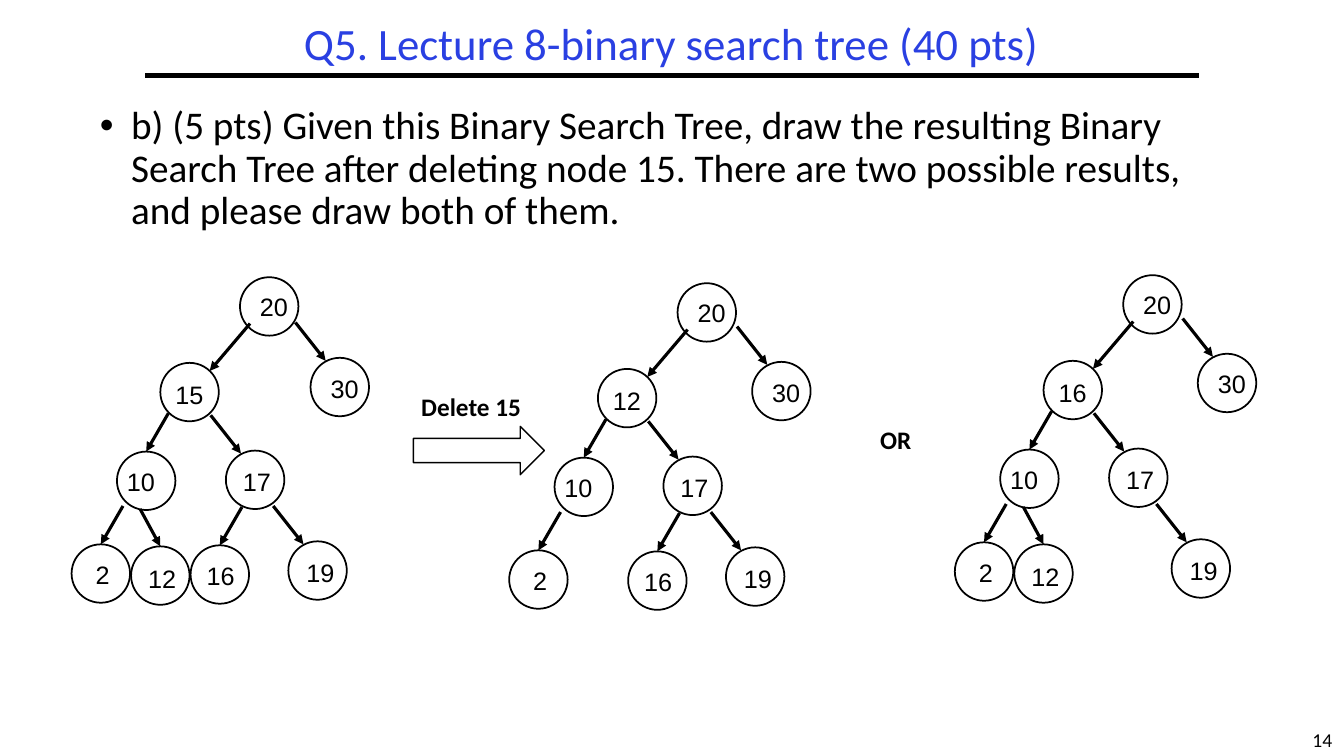
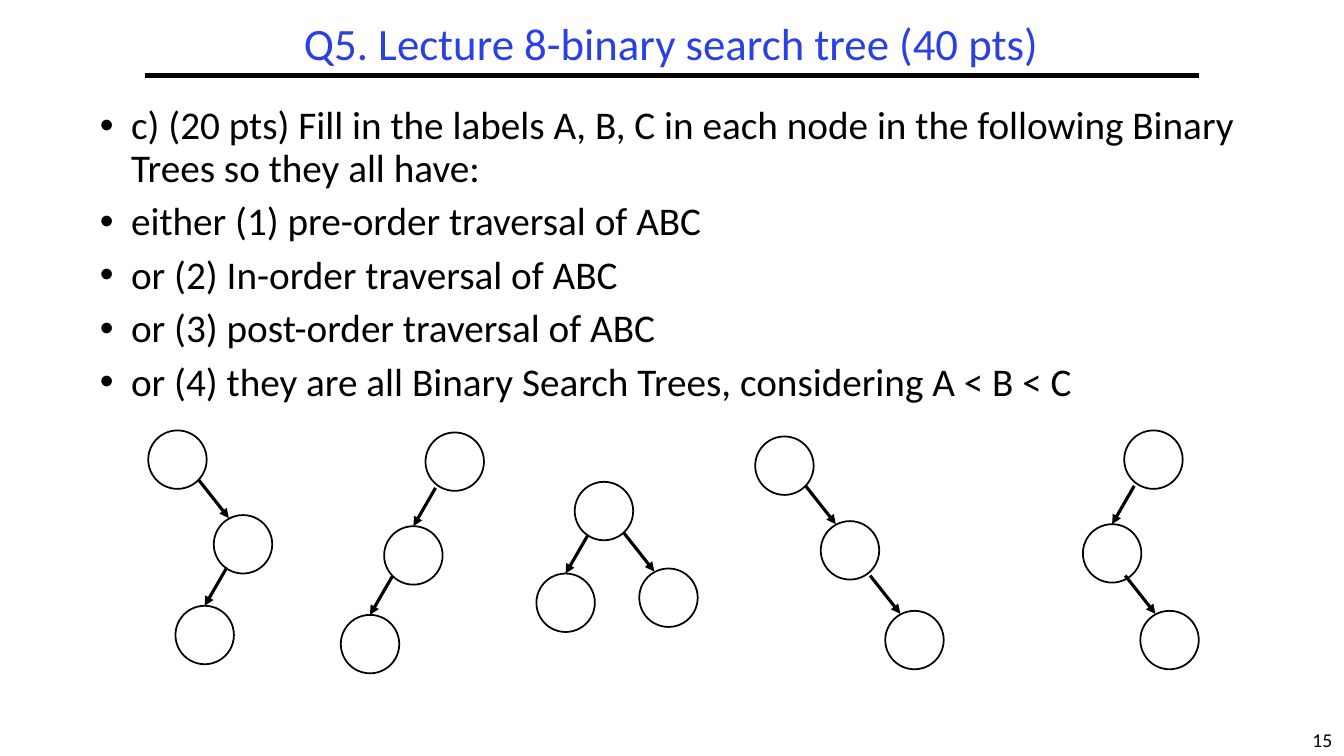
from lxml.etree import SubElement
from pptx import Presentation
from pptx.dml.color import RGBColor
from pptx.enum.shapes import MSO_CONNECTOR, MSO_SHAPE
from pptx.enum.text import MSO_ANCHOR, MSO_AUTO_SIZE, PP_ALIGN
from pptx.oxml.ns import qn
from pptx.util import Inches, Pt

COLORS = {"black": "000000", "white": "FFFFFF", "title": "2A40E2"}
TITLE = "Q5. Lecture 8-binary search tree (40 pts)"
NODE_SIZE = 0.58

# Per branch: end of the arrow inside the child, then its start relative to that end.
BRANCHES = {
    "left": ((0.29, 0), (0.22, -0.38)),
    "right": ((0.15, 0.03), (-0.3, -0.38)),
    "long left": ((0.49, 0.08), (0.4, -0.47)),
    "short right": ((0.29, 0), (-0.2, -0.37)),
}

# Per place: left, top, branch from the parent, label offset.
PLACES = {
    "root": (2.38, 2.75, None, 0.1, 0.09),
    "left": (1.59, 3.6, "long left", 0.05, 0.11),
    "right": (3.08, 3.55, "right", 0.1, 0.1),
    "wide right": (3.12, 3.53, "right", 0.1, 0.1),
    "left left": (1.16, 4.48, "left", 0, 0.1),
    "left right": (2.24, 4.47, "right", 0.07, 0.11),
    "leaf 1": (0.71, 5.4, "left", 0.14, 0.1),
    "leaf 2": (1.3, 5.42, "short right", 0.07, 0.12),
    "leaf 3": (1.89, 5.41, "left", 0.06, 0.1),
    "leaf 4": (2.86, 5.37, "right", 0.08, 0.11),
}

SHARED_LABELS = {"root": "20", "left left": "10", "left right": "17",
                 "leaf 1": "2", "leaf 4": "19"}
SEARCH_TREES = [
    (0, 0, {"left": "15", "right": "30", "leaf 2": "12", "leaf 3": "16"}),
    (4.34, 0.06, {"left": "12", "wide right": "30", "leaf 3": "16"}),
    (8.76, -0.02, {"left": "16", "wide right": "30", "leaf 2": "12"}),
]

BLANK_TREES = [
    [(4.22, 4.29, None), (3.81, 5.22, "left"), (3.38, 6.1, "left")],
    [(1.47, 4.27, None), (2.12, 5.11, "right"), (1.74, 6.01, "left")],
    [(5.7, 4.78, None), (5.32, 5.69, "left"), (6.34, 5.64, "right")],
    [(7.49, 4.33, None), (8.14, 5.17, "right"), (8.78, 6.06, "right")],
    [(11.15, 4.27, None), (10.74, 5.2, "left"), (11.31, 6.06, "right")],
]

DELETE_QUESTION = [
    "b) (5 pts) Given this Binary Search Tree, draw the resulting Binary Search Tree "
    "after deleting node 15. There are two possible results, and please draw both of them.",
]
TRAVERSAL_QUESTION = [
    "c) (20 pts) Fill in the labels A, B, C in each node in the following Binary Trees "
    "so they all have:",
    "either (1) pre-order traversal of ABC",
    "or (2) In-order traversal of ABC",
    "or (3) post-order traversal of ABC",
    "or (4) they are all Binary Search Trees, considering A < B < C",
]


class Deck:
    def __init__(self):
        self.presentation = Presentation()
        self.presentation.slide_width = Inches(13.33)
        self.presentation.slide_height = Inches(7.5)
        self.slide = None

    def color(self, name):
        return RGBColor.from_string(COLORS[name])

    def place(self, shape, left, top, width, height):
        shape.left, shape.top = Inches(left), Inches(top)
        shape.width, shape.height = Inches(width), Inches(height)

    def style_run(self, paragraph, text, size, color="black", font="Calibri", bold=False):
        run = paragraph.add_run()
        run.text = text
        run.font.size = Pt(size)
        run.font.name = font
        run.font.bold = bold
        run.font.color.rgb = self.color(color)

    def start(self, number, items):
        self.slide = self.presentation.slides.add_slide(self.presentation.slide_layouts[1])
        self.line((1.44, 0.75), (11.89, 0.75), 3)
        self.text(12.9, 7.17, 0.43, 0.33, number, 14, align=PP_ALIGN.CENTER, wrap=False)
        self.title()
        self.bullets(items)

    def title(self):
        title = self.slide.shapes.title
        self.place(title, 1.44, 0.17, 10.44, 0.58)
        frame = title.text_frame
        frame.auto_size = MSO_AUTO_SIZE.NONE
        frame.vertical_anchor = MSO_ANCHOR.MIDDLE
        paragraph = frame.paragraphs[0]
        paragraph.alignment = PP_ALIGN.CENTER
        paragraph.line_spacing = 0.9
        self.style_run(paragraph, TITLE, 32, "title")

    def bullets(self, items):
        body = self.slide.placeholders[1]
        self.place(body, 0.89, 1, 11.56, 5.58)
        frame = body.text_frame
        frame.auto_size = MSO_AUTO_SIZE.NONE
        for index, item in enumerate(items):
            paragraph = frame.add_paragraph() if index else frame.paragraphs[0]
            properties = paragraph._p.get_or_add_pPr()
            properties.set("marL", str(Inches(0.31)))
            properties.set("indent", str(Inches(-0.31)))
            SubElement(properties, qn("a:buFont")).set("typeface", "Arial")
            SubElement(properties, qn("a:buChar")).set("char", "•")
            paragraph.line_spacing = 0.9
            paragraph.space_before = Pt(8 if index else 0)
            self.style_run(paragraph, item, 28)

    def text(self, left, top, width, height, text, size, font="Calibri", bold=False,
             align=PP_ALIGN.LEFT, wrap=True):
        box = self.slide.shapes.add_textbox(
            Inches(left), Inches(top), Inches(width), Inches(height))
        box.text_frame.word_wrap = wrap
        paragraph = box.text_frame.paragraphs[0]
        paragraph.alignment = align
        self.style_run(paragraph, text, size, font=font, bold=bold)

    def line(self, start, end, weight, arrow=False):
        connector = self.slide.shapes.add_connector(
            MSO_CONNECTOR.STRAIGHT, *(Inches(value) for value in (*start, *end)))
        connector.line.width = Pt(weight)
        connector.line.color.rgb = self.color("black")
        properties = connector._element.spPr
        if arrow:
            SubElement(properties.get_or_add_ln(), qn("a:tailEnd")).set("type", "triangle")
        SubElement(properties, qn("a:effectLst"))
        return connector

    def outline(self, kind, left, top, width, height, weight):
        shape = self.slide.shapes.add_shape(
            kind, Inches(left), Inches(top), Inches(width), Inches(height))
        shape.shadow.inherit = False
        shape.fill.solid()
        shape.fill.fore_color.rgb = self.color("white")
        shape.line.color.rgb = self.color("black")
        shape.line.width = Pt(weight)
        return shape

    def node(self, left, top, branch):
        circle = self.outline(MSO_SHAPE.OVAL, left, top, NODE_SIZE, NODE_SIZE, 1.25)
        if branch:
            (inset_x, inset_y), (back_x, back_y) = BRANCHES[branch]
            end = (left + inset_x, top + inset_y)
            start = (end[0] + back_x, end[1] + back_y)
            arrow = self.line(start, end, 2.25, arrow=True)
            if branch in ("left", "short right"):
                arrow.end_connect(circle, 0)

    def search_tree(self, shift_x, shift_y, labels):
        for name, (left, top, branch, label_x, label_y) in PLACES.items():
            if name not in labels:
                continue
            left, top, label = left + shift_x, top + shift_y, labels[name]
            self.node(left, top, branch)
            width = 0.34 if len(label) == 1 else 0.48
            self.text(left + label_x, top + label_y, width, 0.4, label, 18,
                      font="Arial", wrap=False)


def main():
    deck = Deck()

    deck.start("14", DELETE_QUESTION)
    for shift_x, shift_y, labels in SEARCH_TREES:
        deck.search_tree(shift_x, shift_y, SHARED_LABELS | labels)
    deck.outline(MSO_SHAPE.RIGHT_ARROW, 4.1, 4.23, 1.3, 0.48, 1)
    deck.text(4.08, 3.83, 1.26, 0.4, "Delete 15", 18, bold=True)
    deck.text(8.63, 4.16, 0.63, 0.4, "OR", 18, bold=True)

    deck.start("15", TRAVERSAL_QUESTION)
    for tree in BLANK_TREES:
        for left, top, branch in tree:
            deck.node(left, top, branch)

    deck.presentation.save("out.pptx")


if __name__ == "__main__":
    main()
